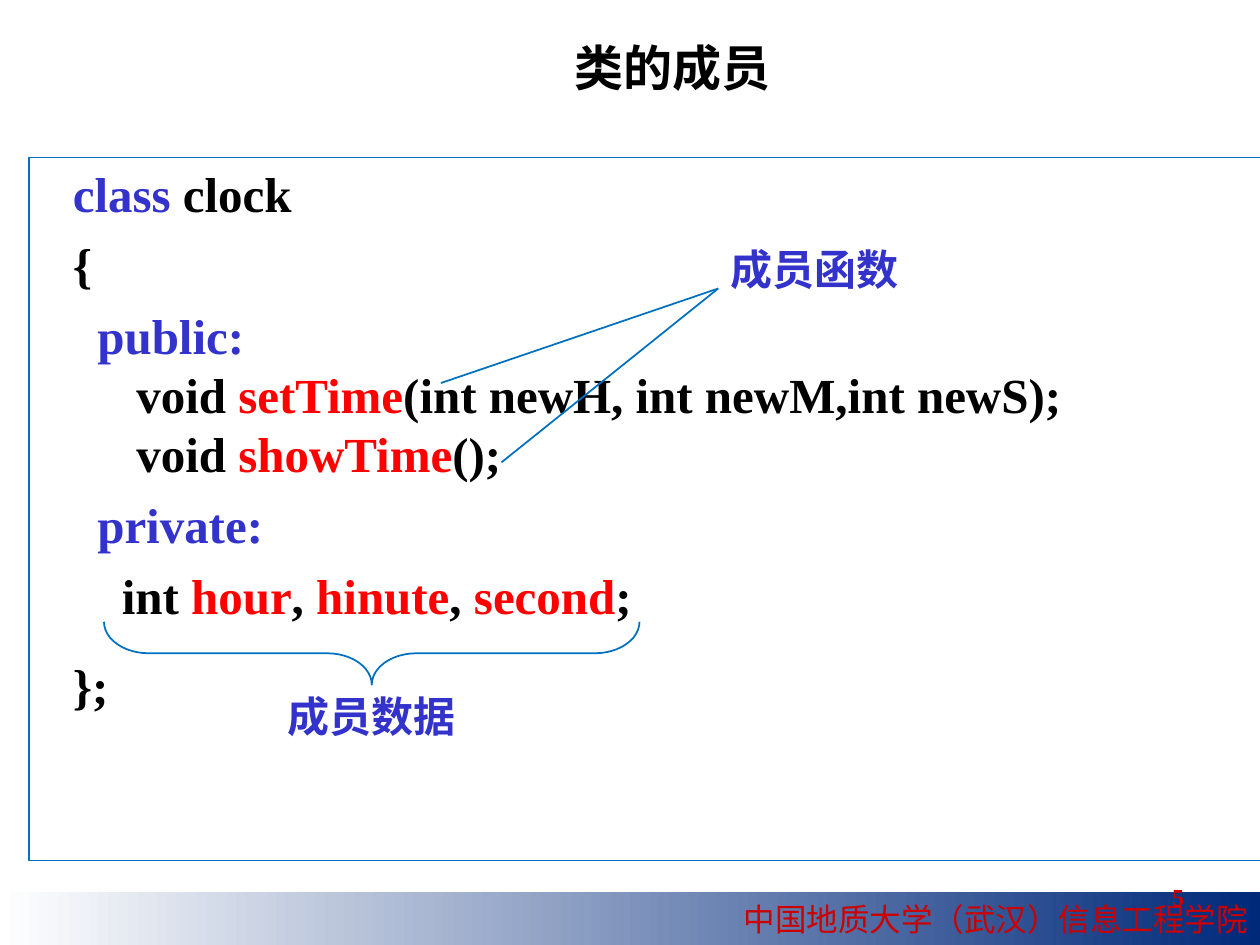
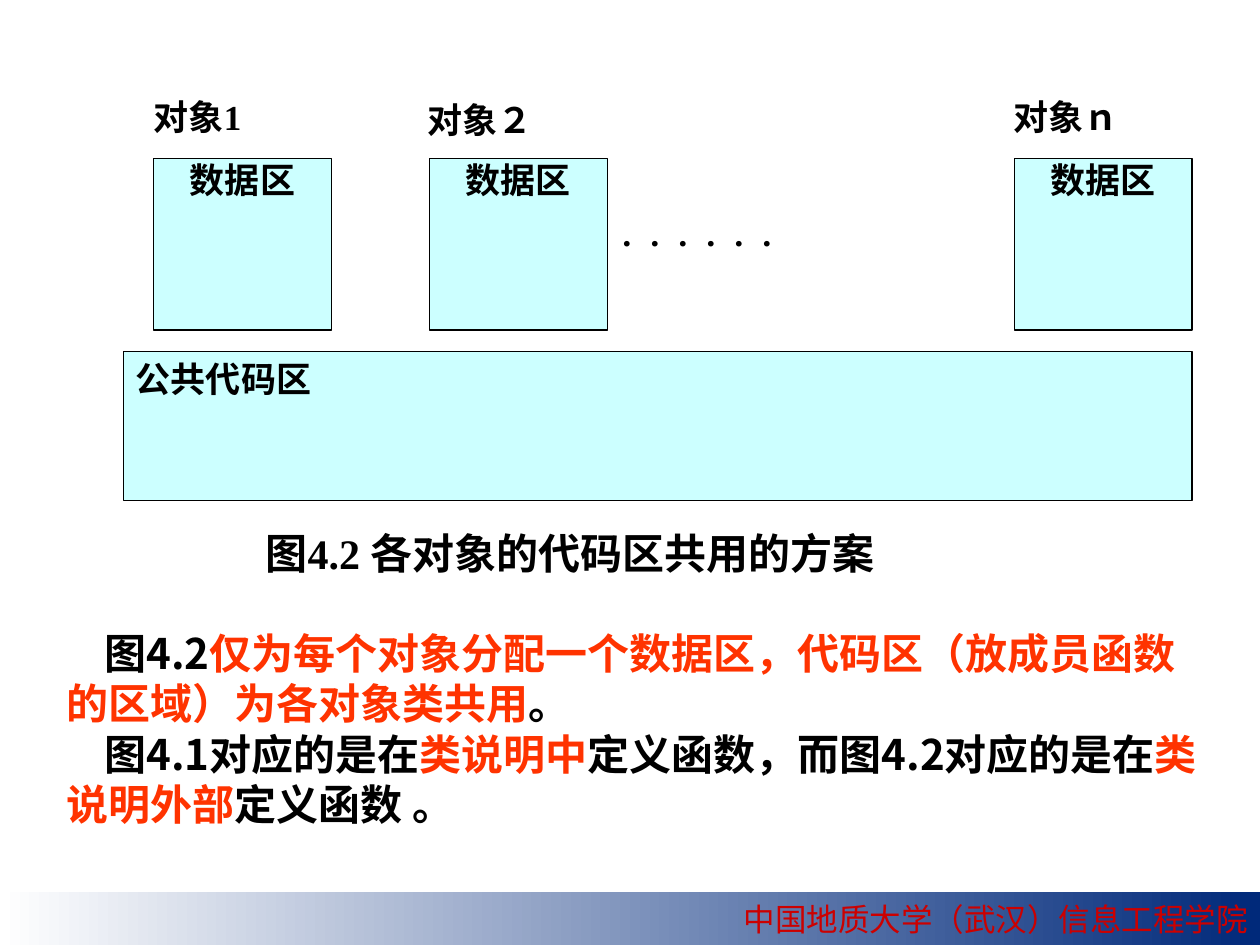
from pptx import Presentation
from pptx import util as u
from pptx.dml import color
from pptx.enum import shapes, text
from pptx.oxml import ns
from lxml import etree

rgb = color.RGBColor.from_string
Inches, Pt = u.Inches, u.Pt
LEFT, MID, RIGHT = text.PP_ALIGN.LEFT, text.PP_ALIGN.CENTER, text.PP_ALIGN.RIGHT
RECT = shapes.MSO_SHAPE.RECTANGLE
SANS, SERIF = "Noto Sans CJK SC", "Times New Roman"
BLACK, BLUE, RED, ORANGE = "000000", "3333CC", "FF0000", "FF3300"
DARK, LINE, NAVY, CYAN, WHITE = "CC0000", "0070C0", "00297A", "CCFFFF", "FFFFFF"


def write(shape, paras, size, align=LEFT, font=SERIF, bold=True, inset=True):
    """Fill a shape with paragraphs, each a list of (text, colour) parts."""
    frame = shape.text_frame
    frame.word_wrap = True
    frame.auto_size = text.MSO_AUTO_SIZE.NONE
    frame.vertical_anchor = text.MSO_ANCHOR.TOP
    frame.margin_left = frame.margin_right = Inches(0.1 if inset else 0)
    frame.margin_top = frame.margin_bottom = Inches(0.05 if inset else 0)
    for i, parts in enumerate(paras):
        para = frame.add_paragraph() if i else frame.paragraphs[0]
        para.alignment = align
        for words, tint in parts:
            if words == "\n":
                para.add_line_break()
                continue
            run = para.add_run()
            run.text = words
            run.font.name, run.font.size, run.font.bold = font, Pt(size), bold
            run.font.color.rgb = rgb(tint)
            asian = etree.SubElement(run.font._element, ns.qn("a:ea"))
            asian.set("typeface", SANS)
    return frame


def draw(slide, kind, at, fill=None, line=None, width=0.75):
    """Add a preset shape with a plain fill and outline."""
    shape = slide.shapes.add_shape(kind, *map(Inches, at))
    shape.shadow.inherit = False
    if fill:
        shape.fill.solid()
        shape.fill.fore_color.rgb = rgb(fill)
    else:
        shape.fill.background()
    if line:
        shape.line.color.rgb = rgb(line)
        shape.line.width = Pt(width)
    else:
        shape.line.fill.background()
    return shape


prs = Presentation()
prs.slide_width, prs.slide_height = Inches(10), Inches(7.5)
first = prs.slides.add_slide(prs.slide_layouts[5])
second = prs.slides.add_slide(prs.slide_layouts[6])

# Footer band on both slides
for slide in (first, second):
    band = draw(slide, RECT, (0, 7.08, 10, 0.42))
    band.fill.gradient()
    band.fill.gradient_angle = 0
    for stop, tint in zip(band.fill.gradient_stops, (WHITE, NAVY)):
        stop.color.rgb = rgb(tint)
    frame = write(band, [[("中国地质大学（武汉）信息工程学院", DARK)]], 18, RIGHT, SANS, False)
    frame.vertical_anchor = text.MSO_ANCHOR.MIDDLE

# Slide 1: title
title = first.shapes.title
title.left, title.top = Inches(1.42), Inches(0.25)
title.width, title.height = Inches(7.83), Inches(1.17)
write(title, [[("类的成员", BLACK)]], 28, MID)

# Class listing
code = [
    [("class", BLUE), (" clock", BLACK)],
    [("{", BLACK)],
    [("  ", BLACK), ("public:", BLUE), ("\n", BLACK),
     ("  void ", BLACK), ("setTime", RED), ("(int newH, int newM,int newS);", BLACK),
     ("\n", BLACK), ("  void ", BLACK), ("showTime", RED), ("();", BLACK)],
    [("  ", BLACK), ("private:", BLUE)],
    [("    int ", BLACK), ("hour", RED), (",", BLACK), (" hinute", RED),
     (",", BLACK), (" second", RED), (";", BLACK)],
    [("};", BLACK)],
]
panel = draw(first, RECT, (0.23, 1.25, 9.88, 5.58), line=LINE)
frame = write(panel, code, 28)
for i, para in enumerate(frame.paragraphs):
    props = para._p.get_or_add_pPr()
    props.set("marL", str(Inches(0.56)))
    props.set("indent", str(Inches(-0.31)))
    if i:
        para.space_before = Pt(7)
frame.paragraphs[-1].space_before = Pt(17.5)

# Page number
page = first.shapes.add_textbox(Inches(7.17), Inches(6.95), Inches(2.33), Inches(0.4))
write(page, [[("5", DARK)]], 14, RIGHT)

# Brace under the data members
brace = draw(first, shapes.MSO_SHAPE.RIGHT_BRACE, (2.7, 3.06, 0.5, 4.25), line=LINE, width=1)
brace.rotation = 90
brace.adjustments[0] = 0.71

# Lines from the functions to their label
for x, y in ((3.98, 3.67), (3.5, 3.04)):
    link = first.shapes.add_connector(shapes.MSO_CONNECTOR.STRAIGHT, Inches(x), Inches(y),
                                      Inches(5.7), Inches(2.29))
    link.line.color.rgb = rgb(LINE)
    link.line.width = Pt(1)
    etree.SubElement(link._element.spPr, ns.qn("a:effectLst"))

for words, x, y, align in (("成员数据", 2.07, 5.43, MID), ("成员函数", 5.7, 1.88, LEFT)):
    label = first.shapes.add_textbox(Inches(x), Inches(y), Inches(1.75), Inches(0.5))
    write(label, [[(words, BLUE)]], 24, align)

# Slide 2: data areas, one for each object
for x, name, left, top in ((1.22, "对象1", 1.22, 0.76), (3.41, "对象２", 3.39, 0.78),
                           (8.05, "对象ｎ", 8.04, 0.76)):
    area = draw(second, RECT, (x, 1.26, 1.41, 1.36), CYAN, BLACK)
    write(area, [[("数据区", BLACK)]], 20, MID, inset=False)
    label = second.shapes.add_textbox(Inches(left), Inches(top), Inches(1.69), Inches(0.34))
    write(label, [[(name, BLACK)]], 20, inset=False)

dots = second.shapes.add_textbox(Inches(4.92), Inches(1.74), Inches(3.06), Inches(0.31))
write(dots, [[("．．．．．．", BLACK)]], 16, inset=False)

# Shared code area and caption
shared = draw(second, RECT, (0.98, 2.79, 8.48, 1.18), CYAN, BLACK)
write(shared, [[("公共代码区", BLACK)]], 20)
caption = second.shapes.add_textbox(Inches(1.69), Inches(4.14), Inches(5.67), Inches(0.39))
write(caption, [[("图4.2 各对象的代码区共用的方案", BLACK)]], 24, MID)

# Explanation
notes = [
    [("图4.2", BLACK),
     ("仅为每个对象分配一个数据区，代码区（放成员函数的区域）为各对象类共用", ORANGE),
     ("。", BLACK)],
    [("图4.1对应的是在", BLACK), ("类说明中", ORANGE), ("定义函数，而图4.2对应的是在", BLACK),
     ("类说明外部", ORANGE), ("定义函数 。", BLACK)],
]
body = second.shapes.add_textbox(Inches(0.43), Inches(4.93), Inches(9.25), Inches(1.7))
for para in write(body, notes, 24, font=SANS).paragraphs:
    para._p.get_or_add_pPr().set("indent", str(Inches(0.3)))
    para.line_spacing = Pt(28.8)

prs.save("out.pptx")
